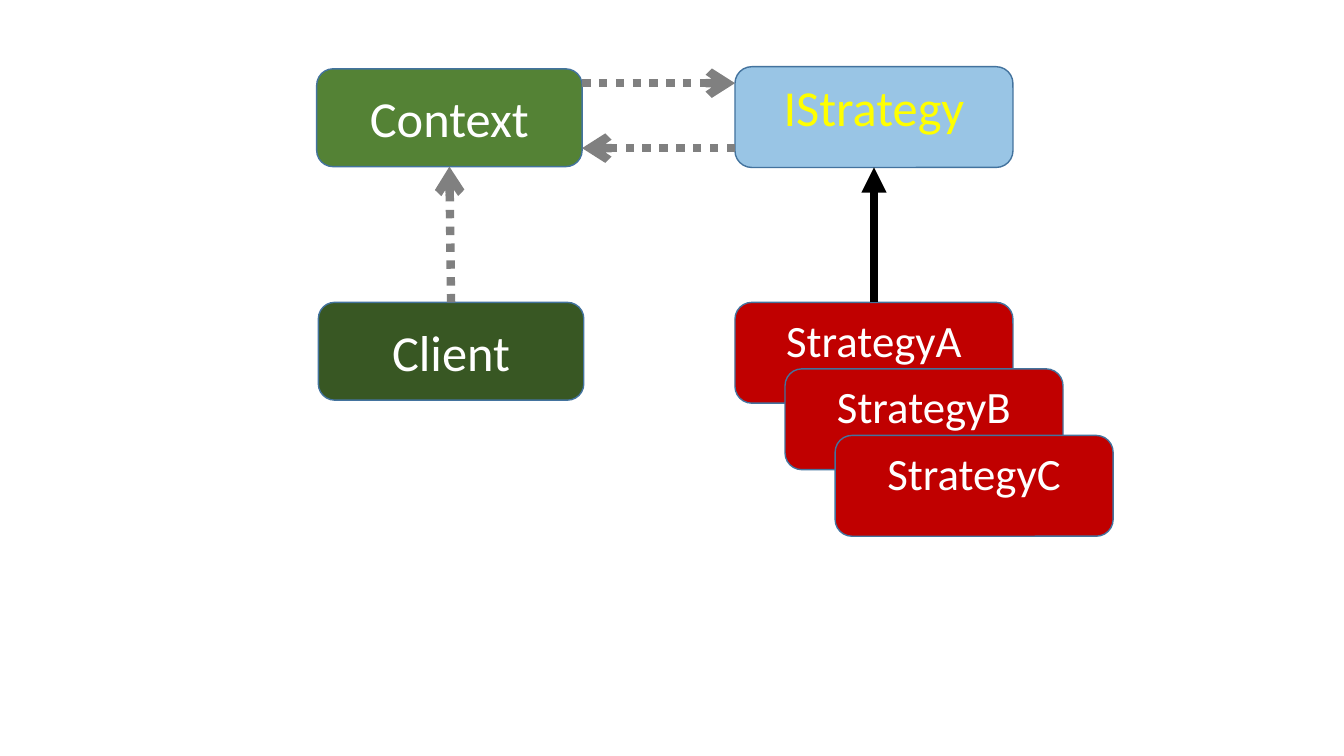
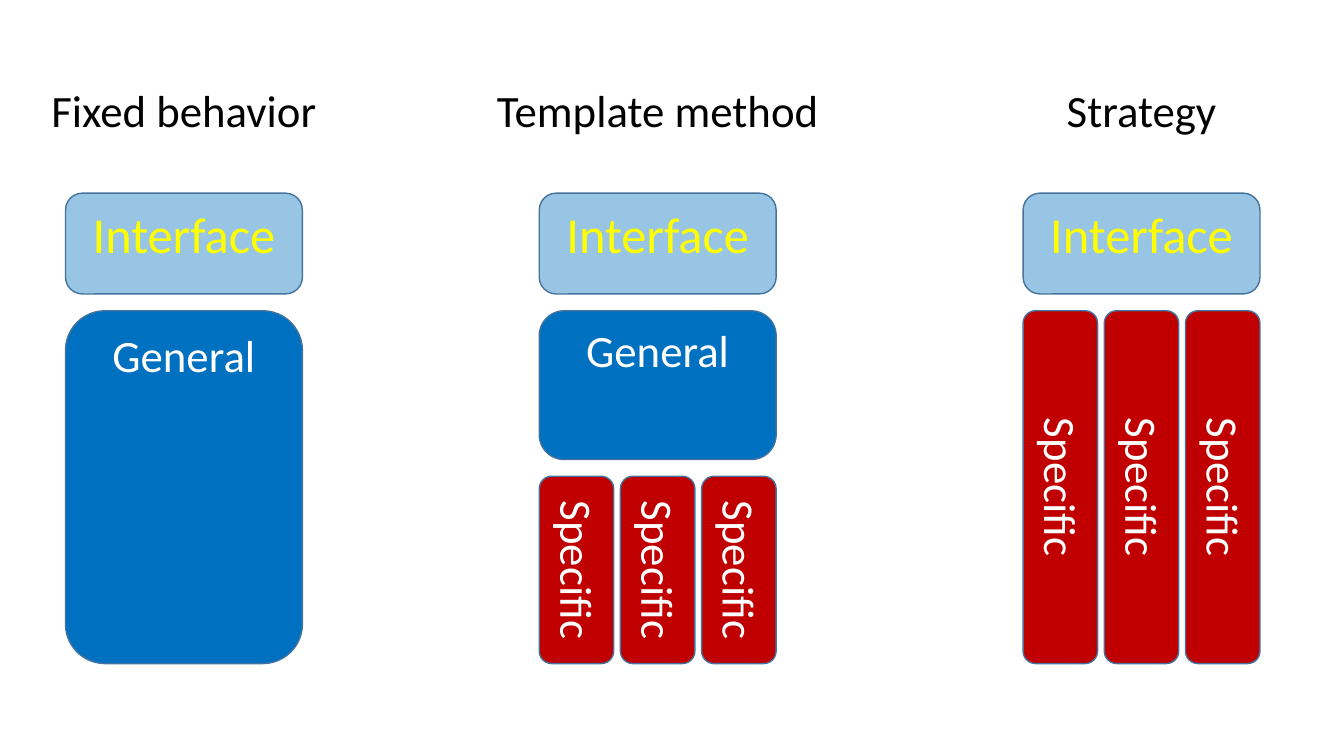
"""Build two slides on the Strategy pattern: its classes, and how it compares with other designs."""
import dataclasses

import lxml.etree
import pptx
import pptx.dml.color
import pptx.enum.dml
import pptx.enum.shapes
import pptx.enum.text
import pptx.oxml.ns
import pptx.util

COLUMNS, ROWS = 80, 45
SLIDE_WIDTH, SLIDE_HEIGHT = pptx.util.Inches(13.33), pptx.util.Inches(7.5)
TOP = pptx.enum.text.MSO_ANCHOR.TOP
MIDDLE = pptx.enum.text.MSO_ANCHOR.MIDDLE


@dataclasses.dataclass(frozen=True)
class Theme:
    font: str = "Calibri"
    large: int = 36
    medium: int = 32
    outline_width: int = 1
    arrow_width: int = 6
    interface_opacity: int = 40
    outline: str = "43739E"
    context: str = "548235"
    client: str = "385723"
    general: str = "0070C0"
    specific: str = "C00000"
    on_fill: str = "FFFFFF"
    on_interface: str = "FFFF00"
    heading: str = "000000"
    inheritance: str = "000000"
    usage: str = "808080"


THEME = Theme()


def across(columns):
    return round(SLIDE_WIDTH * columns / COLUMNS)


def down(rows):
    return round(SLIDE_HEIGHT * rows / ROWS)


def cells(left, top, width, height):
    return across(left), down(top), across(width), down(height)


def rgb(color):
    return pptx.dml.color.RGBColor.from_string(color)


def add_child(parent, tag, **attributes):
    return lxml.etree.SubElement(parent, pptx.oxml.ns.qn(tag), attributes)


def write(frame, wording, size, color):
    paragraph = frame.paragraphs[0]
    paragraph.alignment = pptx.enum.text.PP_ALIGN.CENTER
    run = paragraph.add_run()
    run.text = wording
    run.font.name = THEME.font
    run.font.size = pptx.util.Pt(size)
    run.font.color.rgb = rgb(color)


def add_block(slide, wording, area, fill, size=THEME.medium, color=THEME.on_fill, anchor=TOP):
    block = slide.shapes.add_shape(pptx.enum.shapes.MSO_SHAPE.ROUNDED_RECTANGLE, *cells(*area))
    block.shadow.inherit = False
    block.fill.solid()
    block.fill.fore_color.rgb = rgb(fill)
    block.line.color.rgb = rgb(THEME.outline)
    block.line.width = pptx.util.Pt(THEME.outline_width)
    block.text_frame.word_wrap = True
    block.text_frame.vertical_anchor = anchor
    write(block.text_frame, wording, size, color)
    return block


def add_interface(slide, wording, area):
    block = add_block(slide, wording, area, THEME.general, THEME.large, THEME.on_interface)
    tint = block.element.spPr.find(pptx.oxml.ns.qn("a:solidFill"))[0]
    add_child(tint, "a:alpha", val=str(THEME.interface_opacity * 1000))


def add_specifics(slide, area, count=3, gap=0.4):
    left, top, width, height = area
    bar = (width - gap * (count - 1)) / count
    for index in range(count):
        block = add_block(slide, "Specific", (left + index * (bar + gap), top, bar, height), THEME.specific)
        block.text_frame._txBody.bodyPr.set("vert", "vert")


def add_heading(slide, wording, center, width):
    heading = slide.shapes.add_textbox(*cells(center - width / 2, 4.62, width, 3.84))
    heading.text_frame.word_wrap = False
    write(heading.text_frame, wording, THEME.medium, THEME.heading)


def add_arrow(slide, start, end, color, head, dash=None):
    arrow = slide.shapes.add_connector(
        pptx.enum.shapes.MSO_CONNECTOR.STRAIGHT,
        across(start[0]), down(start[1]), across(end[0]), down(end[1]))
    arrow.line.color.rgb = rgb(color)
    arrow.line.width = pptx.util.Pt(THEME.arrow_width)
    if dash:
        arrow.line.dash_style = dash
    add_child(arrow.line._get_or_add_ln(), "a:tailEnd", type=head)
    add_child(arrow.element.spPr, "a:effectLst")


def add_usage(slide, start, end):
    add_arrow(slide, start, end, THEME.usage, "arrow", pptx.enum.dml.MSO_LINE.ROUND_DOT)


def build_classes(slide):
    context_left, strategy_left = 18.85, 43.75
    caller_width, caller_height = 15.8, 5.82
    strategy_width, strategy_height = 16.55, 6
    context_top, interface_top, lower_top = 4.1, 3.97, 18
    context_right = context_left + caller_width
    context_center = context_left + caller_width / 2
    strategy_center = strategy_left + strategy_width / 2

    for wording, left, top, fill in (("Context", context_left, context_top, THEME.context),
                                     ("Client", context_left + 0.1, lower_top, THEME.client)):
        add_block(slide, wording, (left, top, caller_width, caller_height), fill, THEME.large, anchor=MIDDLE)
    add_interface(slide, "IStrategy", (strategy_left, interface_top, strategy_width, strategy_height))
    for step, variant in enumerate("ABC"):
        add_block(slide, f"Strategy{variant}",
                  (strategy_left + step * 2.98, lower_top + step * 3.96, strategy_width, strategy_height),
                  THEME.specific)

    add_arrow(slide, (strategy_center, lower_top), (strategy_center, interface_top + strategy_height),
              THEME.inheritance, "triangle")
    add_usage(slide, (context_right, 4.95), (strategy_left, 4.95))
    add_usage(slide, (strategy_left, 8.82), (context_right, 8.82))
    add_usage(slide, (context_center + 0.1, lower_top), (context_center, context_top + caller_height))


def build_comparison(slide):
    width, interface_top, interface_height, gap = 14.1, 11.5, 6, 1
    body_top, bottom, short_height = interface_top + interface_height + gap, 39.5, 8.85
    body_height = bottom - body_top
    specifics_top = body_top + short_height + gap
    fixed, template, strategy = 3.9, 32.1, 60.9

    for wording, left, heading_width in (("Fixed behavior", fixed, 17.16),
                                         ("Template method", template, 20.58),
                                         ("Strategy", strategy, 10.2)):
        add_heading(slide, wording, left + width / 2, heading_width)
        add_interface(slide, "Interface", (left, interface_top, width, interface_height))
    for left, height in ((fixed, body_height), (template, short_height)):
        add_block(slide, "General", (left, body_top, width, height), THEME.general)
    for left, top in ((template, specifics_top), (strategy, body_top)):
        add_specifics(slide, (left, top, width, bottom - top))


def main():
    deck = pptx.Presentation()
    deck.slide_width, deck.slide_height = SLIDE_WIDTH, SLIDE_HEIGHT
    blank = deck.slide_layouts[6]
    for build in (build_classes, build_comparison):
        build(deck.slides.add_slide(blank))
    deck.save("out.pptx")


if __name__ == "__main__":
    main()
